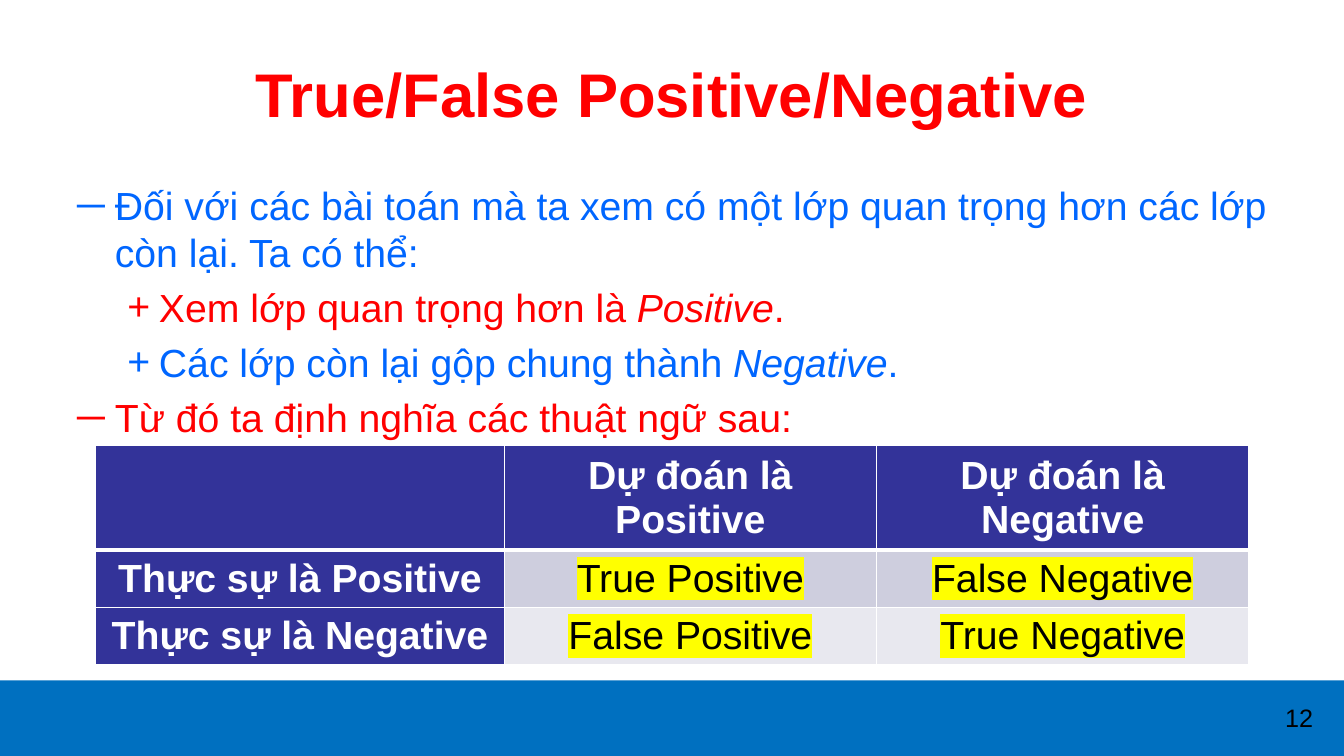
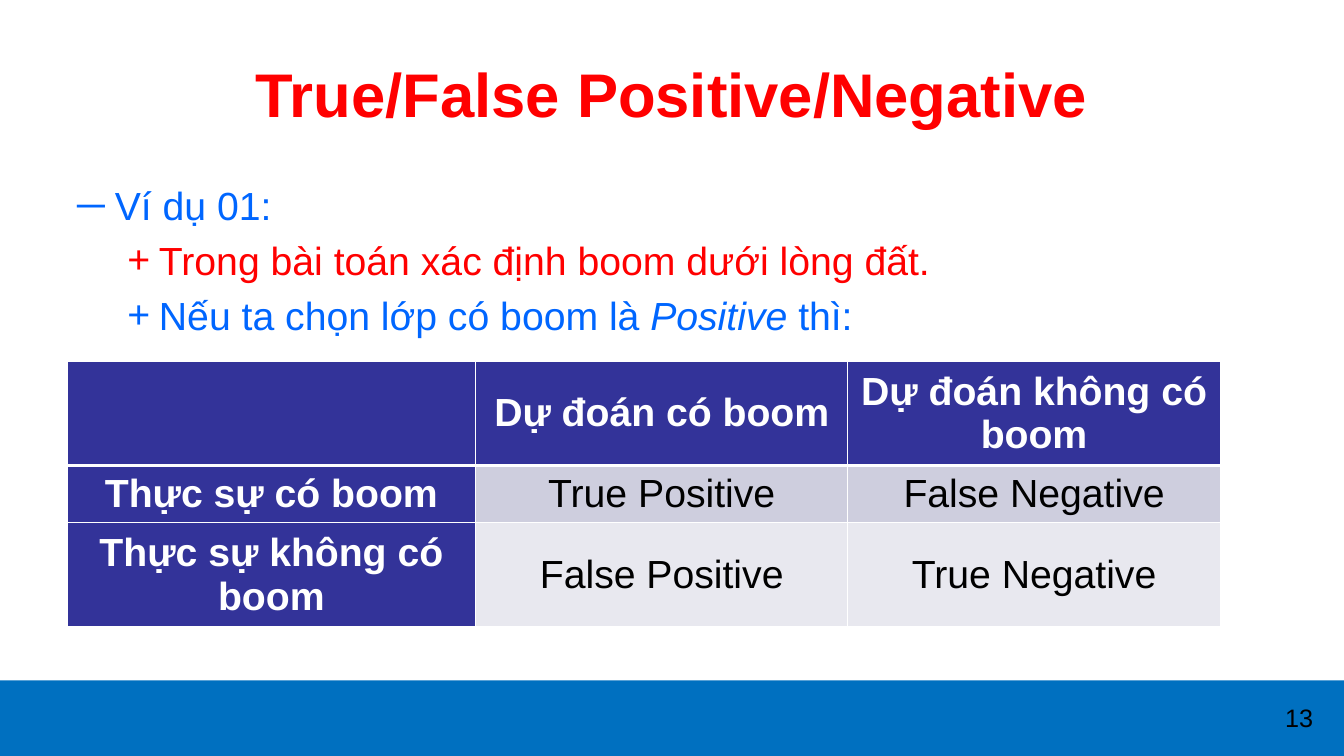
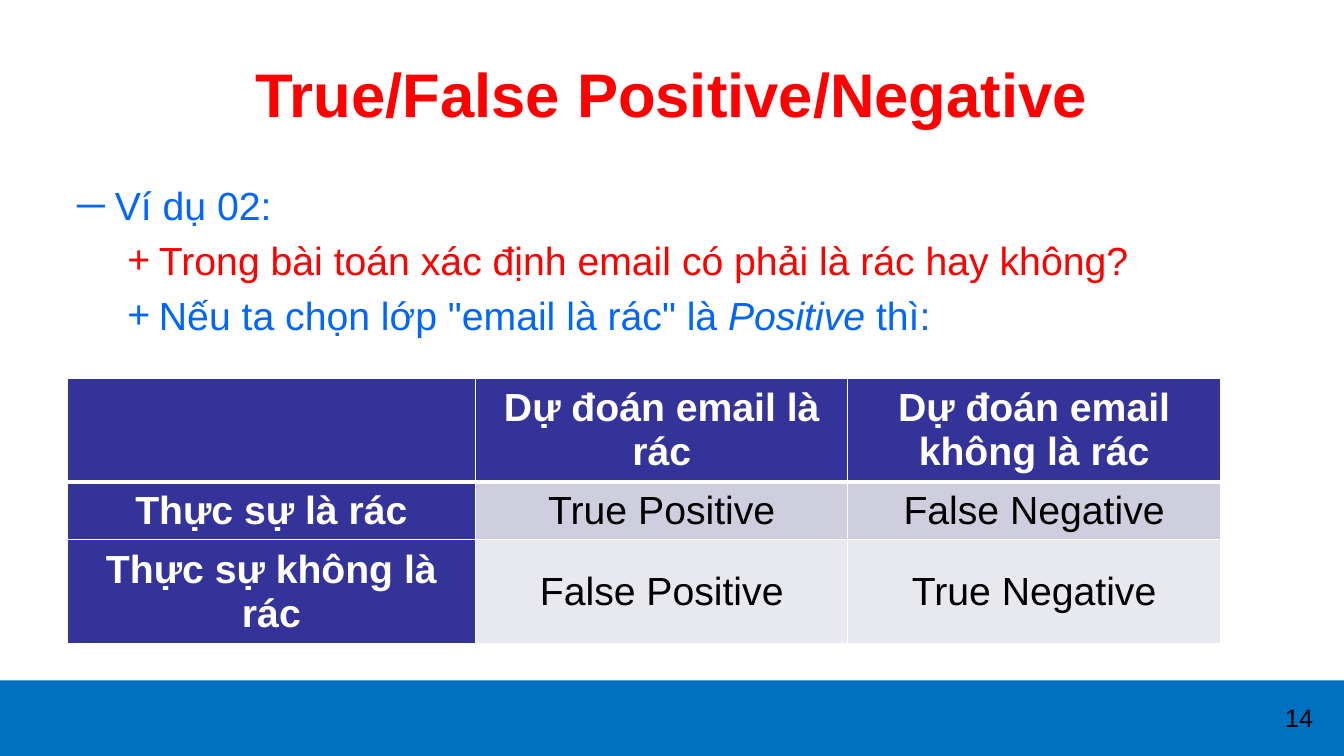
from dataclasses import dataclass

from lxml.etree import SubElement
from pptx import Presentation
from pptx.dml.color import RGBColor
from pptx.enum.shapes import MSO_SHAPE
from pptx.enum.text import MSO_ANCHOR, PP_ALIGN
from pptx.oxml.ns import qn
from pptx.slide import Slide
from pptx.table import _Cell
from pptx.text.text import TextFrame, _Paragraph
from pptx.util import Pt

FONT = "Arial"
RED, BLUE, BAND_BLUE = "FF0000", "0066FF", "0070C0"
BLACK, WHITE, YELLOW = "000000", "FFFFFF", "FFFF00"
HEADER_FILL = "333399"
ROW_FILLS = ("CECEDE", "E8E8EF")

TITLE = "True/False Positive/Negative"
OUTCOMES = (("True Positive", "False Negative"), ("False Positive", "True Negative"))
FIRST_PAGE = 12

SLIDE_WIDTH, SLIDE_HEIGHT, BAND_HEIGHT = 960, 540, 54
MARGIN = 48
TITLE_SIZE, BODY_SIZE, PAGE_SIZE = 44, 28, 18
COLUMN_WIDTHS = (291.7, 266, 266)
ROW_HEIGHT = 29.5


@dataclass(frozen=True)
class Level:
    bullet: str
    margin: float
    hanging: float


@dataclass(frozen=True)
class Point:
    """One bullet; asterisks in the text enclose its italic part."""
    text: str
    color: str
    level: int = 0


@dataclass(frozen=True)
class Matrix:
    left: float
    top: float
    predicted: tuple[str, str]
    actual: tuple[str, str]
    highlight: str | None = None


@dataclass(frozen=True)
class Page:
    points: tuple[Point, ...]
    matrix: Matrix


LEVELS = (Level("─", 27, 27), Level("+", 58.5, 22.5))

PAGES = (
    Page(
        (
            Point("Đối với các bài toán mà ta xem có một lớp quan trọng hơn các lớp "
                  "còn lại. Ta có thể:", BLUE),
            Point("Xem lớp quan trọng hơn là *Positive*.", RED, 1),
            Point("Các lớp còn lại gộp chung thành *Negative*.", BLUE, 1),
            Point("Từ đó ta định nghĩa các thuật ngữ sau:", RED),
        ),
        Matrix(68.4, 318.4,
               ("Dự đoán là Positive", "Dự đoán là Negative"),
               ("Thực sự là Positive", "Thực sự là Negative"), YELLOW),
    ),
    Page(
        (
            Point("Ví dụ 01:", BLUE),
            Point("Trong bài toán xác định boom dưới lòng đất.", RED, 1),
            Point("Nếu ta chọn lớp có boom là *Positive *thì:", BLUE, 1),
        ),
        Matrix(MARGIN, 258,
               ("Dự đoán có boom", "Dự đoán không có boom"),
               ("Thực sự có boom", "Thực sự không có boom")),
    ),
    Page(
        (
            Point("Ví dụ 02:", BLUE),
            Point("Trong bài toán xác định email có phải là rác hay không?", RED, 1),
            Point('Nếu ta chọn lớp "email là rác" là *Positive *thì:', BLUE, 1),
        ),
        Matrix(MARGIN, 270,
               ("Dự đoán email là rác", "Dự đoán email không là rác"),
               ("Thực sự là rác", "Thực sự không là rác")),
    ),
)


def rgb(color: str) -> RGBColor:
    return RGBColor.from_string(color)


def add_run(paragraph: _Paragraph, text: str, size: float, color: str, bold: bool = False,
            italic: bool = False, highlight: str | None = None) -> None:
    run = paragraph.add_run()
    run.text = text
    font = run.font
    font.size, font.bold, font.italic = Pt(size), bold, italic
    font.color.rgb = rgb(color)
    if highlight:
        marker = SubElement(font._element, qn("a:highlight"))
        SubElement(marker, qn("a:srgbClr"), val=highlight)
    font.name = FONT


def add_frame(slide: Slide, left: float, top: float, width: float, height: float) -> TextFrame:
    frame = slide.shapes.add_textbox(Pt(left), Pt(top), Pt(width), Pt(height)).text_frame
    frame.word_wrap = True
    return frame


def add_heading(slide: Slide) -> None:
    frame = add_frame(slide, MARGIN, 21.6, SLIDE_WIDTH - 2 * MARGIN, 90)
    frame.vertical_anchor = MSO_ANCHOR.MIDDLE
    heading = frame.paragraphs[0]
    heading.alignment = PP_ALIGN.CENTER
    add_run(heading, TITLE, TITLE_SIZE, RED, bold=True)


def add_footer(slide: Slide, number: int) -> None:
    band = slide.shapes.add_shape(MSO_SHAPE.RECTANGLE, 0, Pt(SLIDE_HEIGHT - BAND_HEIGHT),
                                  Pt(SLIDE_WIDTH), Pt(BAND_HEIGHT))
    band.shadow.inherit = False
    band.fill.solid()
    band.fill.fore_color.rgb = rgb(BAND_BLUE)
    band.line.fill.background()
    page_number = add_frame(slide, 896, 498.4, 64, 28.8).paragraphs[0]
    page_number.alignment = PP_ALIGN.CENTER
    add_run(page_number, str(number), PAGE_SIZE, BLACK)


def add_points(slide: Slide, points: tuple[Point, ...]) -> None:
    frame = add_frame(slide, MARGIN, 126, SLIDE_WIDTH - 2 * MARGIN, 356.4)
    for index, point in enumerate(points):
        paragraph = frame.add_paragraph() if index else frame.paragraphs[0]
        paragraph.alignment = PP_ALIGN.JUSTIFY
        paragraph.level = point.level
        paragraph.line_spacing = Pt(1.2 * BODY_SIZE)
        paragraph.space_before = Pt(0.2 * BODY_SIZE if index else 0)
        level = LEVELS[point.level]
        properties = paragraph._p.get_or_add_pPr()
        properties.set("marL", str(Pt(level.margin)))
        properties.set("indent", str(-Pt(level.hanging)))
        SubElement(properties, qn("a:buFont"), typeface=FONT)
        SubElement(properties, qn("a:buChar"), char=level.bullet)
        for part, text in enumerate(point.text.split("*")):
            add_run(paragraph, text, BODY_SIZE, point.color, italic=part % 2 == 1)


def style_cell(cell: _Cell, fill: str, top: float, bottom: float) -> None:
    """Give the cell its fill and white borders; top and bottom are line widths."""
    properties = cell._tc.get_or_add_tcPr()
    for side, width in (("L", 1), ("R", 1), ("T", top), ("B", bottom)):
        border = SubElement(properties, qn(f"a:ln{side}"), w=str(Pt(width)))
        SubElement(SubElement(border, qn("a:solidFill")), qn("a:srgbClr"), val=WHITE)
    cell.fill.solid()
    cell.fill.fore_color.rgb = rgb(fill)
    cell.vertical_anchor = MSO_ANCHOR.MIDDLE


def add_matrix(slide: Slide, matrix: Matrix) -> None:
    rows = [("", *matrix.predicted)]
    rows += [(label, *outcomes) for label, outcomes in zip(matrix.actual, OUTCOMES)]
    table = slide.shapes.add_table(
        len(rows), len(COLUMN_WIDTHS), Pt(matrix.left), Pt(matrix.top),
        Pt(sum(COLUMN_WIDTHS)), Pt(ROW_HEIGHT * len(rows))).table
    table.first_col = True
    for column, width in zip(table.columns, COLUMN_WIDTHS):
        column.width = Pt(width)
    for r, texts in enumerate(rows):
        table.rows[r].height = Pt(ROW_HEIGHT)
        for c, text in enumerate(texts):
            header = r == 0 or c == 0
            cell = table.cell(r, c)
            style_cell(cell, HEADER_FILL if header else ROW_FILLS[r - 1],
                       top=3 if r == 1 else 1, bottom=3 if r == 0 else 1)
            if text:
                paragraph = cell.text_frame.paragraphs[0]
                paragraph.alignment = PP_ALIGN.CENTER
                add_run(paragraph, text, BODY_SIZE, WHITE if header else BLACK, bold=header,
                        highlight=None if header else matrix.highlight)


def main() -> None:
    deck = Presentation()
    deck.slide_width, deck.slide_height = Pt(SLIDE_WIDTH), Pt(SLIDE_HEIGHT)
    blank = deck.slide_layouts[6]
    for number, page in enumerate(PAGES, FIRST_PAGE):
        slide = deck.slides.add_slide(blank)
        add_footer(slide, number)
        add_heading(slide)
        add_points(slide, page.points)
        add_matrix(slide, page.matrix)
    deck.save("out.pptx")


if __name__ == "__main__":
    main()
